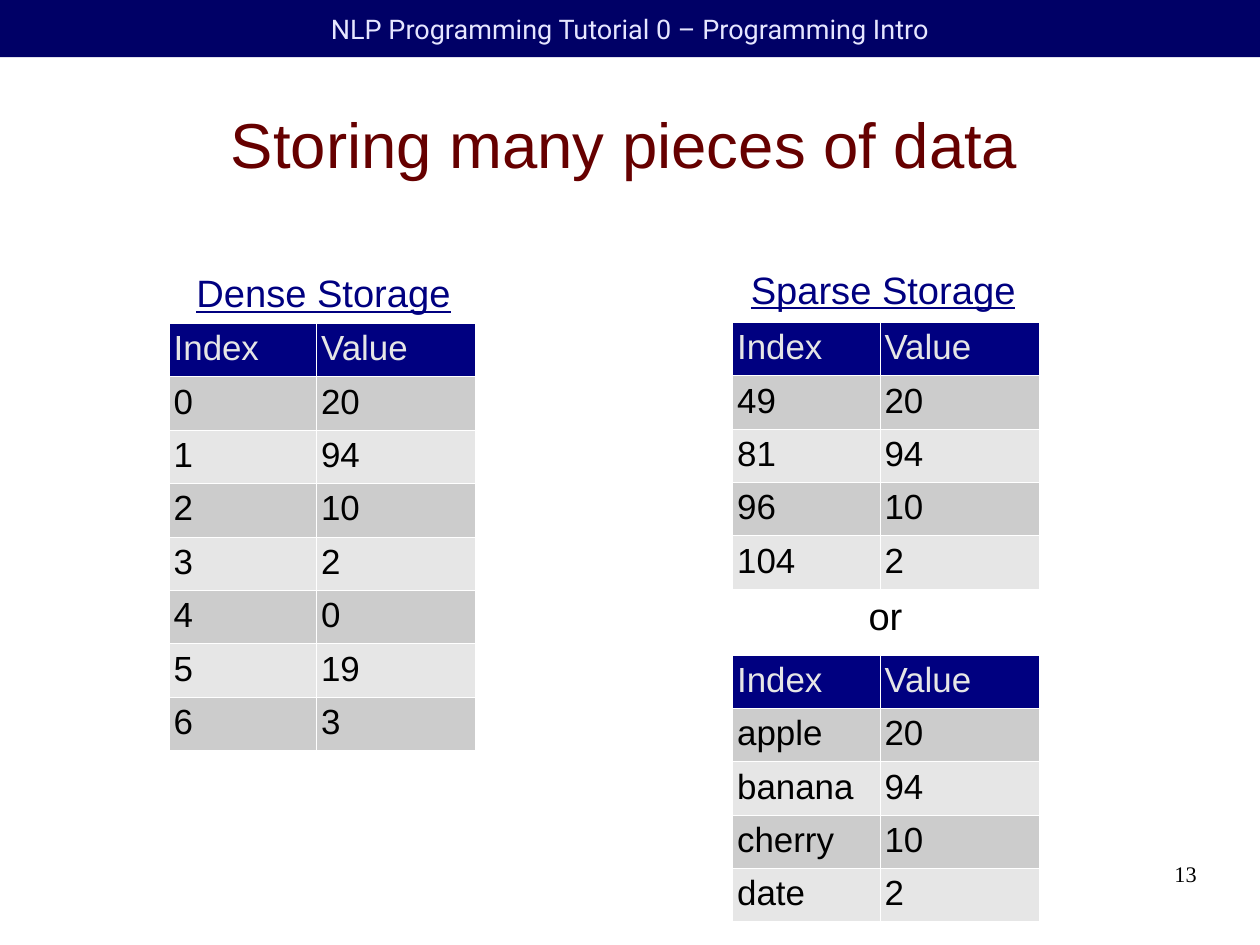
from lxml import etree
from pptx import Presentation
from pptx.dml.color import RGBColor
from pptx.enum.shapes import MSO_SHAPE
from pptx.enum.text import MSO_ANCHOR, MSO_AUTO_SIZE, PP_ALIGN
from pptx.oxml.ns import qn
from pptx.util import Cm, Inches, Pt

LEFT, CENTER, RIGHT = PP_ALIGN.LEFT, PP_ALIGN.CENTER, PP_ALIGN.RIGHT
TOP, MIDDLE = MSO_ANCHOR.TOP, MSO_ANCHOR.MIDDLE
GROW = MSO_AUTO_SIZE.SHAPE_TO_FIT_TEXT
RECT = MSO_SHAPE.RECTANGLE

BAR = RGBColor(0x00, 0x00, 0x66)
BAR_TEXT = RGBColor(0xE6, 0xE6, 0xFF)
MAROON = RGBColor(0x66, 0x00, 0x00)
NAVY = RGBColor(0x00, 0x00, 0x80)
BLACK = RGBColor(0x00, 0x00, 0x00)
DARK_BAND = RGBColor(0xCC, 0xCC, 0xCC)
LIGHT_BAND = RGBColor(0xE6, 0xE6, 0xE6)

COL_WIDTHS = (1.29, 1.39)
ROW_H = Pt(33.58)
DENSE_X, SPARSE_X = 1.48, 6.41

prs = Presentation()
prs.slide_width = Cm(28)
prs.slide_height = Cm(21)
slide = prs.slides.add_slide(prs.slide_layouts[6])


def add_run(p, text, size, color, font="Arial", underline=None):
    r = p.add_run()
    r.text = text
    r.font.size, r.font.name, r.font.underline = Pt(size), font, underline
    r.font.color.rgb = color


def add_table(x, y, rows):
    width = Inches(sum(COL_WIDTHS))
    frame = slide.shapes.add_table(len(rows), len(COL_WIDTHS), Inches(x),
                                   Inches(y), width, ROW_H * len(rows))
    table = frame.table
    for column, col_w in zip(table.columns, COL_WIDTHS):
        column.width = Inches(col_w)
    for i, values in enumerate(rows):
        table.rows[i].height = ROW_H
        for j, value in enumerate(values):
            cell = table.cell(i, j)
            cell.margin_left = cell.margin_right = Inches(0.04)
            cell.margin_top = cell.margin_bottom = Inches(0.05)
            # Thin white borders come before the fill in the cell properties
            tc_pr = cell._tc.get_or_add_tcPr()
            for side in ("a:lnL", "a:lnR", "a:lnT", "a:lnB"):
                ln = etree.SubElement(tc_pr, qn(side), w=str(Pt(0.57)))
                solid = etree.SubElement(ln, qn("a:solidFill"))
                etree.SubElement(solid, qn("a:srgbClr"), val="FFFFFF")
            cell.fill.solid()
            band = DARK_BAND if i % 2 else LIGHT_BAND
            cell.fill.fore_color.rgb = band if i else NAVY
            add_run(cell.text_frame.paragraphs[0], value, 22,
                    BLACK if i else LIGHT_BAND)


# Header bar
sp = slide.shapes.add_shape(RECT, 0, 0, prs.slide_width, Inches(0.5))
sp.shadow.inherit = False
sp.fill.solid()
sp.fill.fore_color.rgb = BAR
sp.line.fill.background()
tf = sp.text_frame
tf.vertical_anchor = MIDDLE
p = tf.paragraphs[0]
p.alignment = CENTER
add_run(p, "NLP Programming Tutorial 0 – Programming Intro", 17, BAR_TEXT,
        "Roboto")

# Title, table headings, joining word and page number
texts = [
    ("Storing many pieces of data", (0.5, 0.62, 9.92, 1.27), 40, MAROON,
     "Arial", CENTER, MIDDLE, None, 0),
    ("Dense Storage", (1.62, 2.31, 2.5, 0.47), 24, NAVY,
     "Arial", LEFT, TOP, True, 0.1),
    ("Sparse Storage", (6.47, 2.28, 2.75, 0.47), 24, NAVY,
     "Arial", LEFT, TOP, True, 0.1),
    ("or", (7.5, 5.13, 0.52, 0.47), 24, BLACK,
     "Arial", LEFT, TOP, None, 0.1),
    ("13", (7.9, 7.53, 2.57, 0.57), 14, BLACK,
     "Times New Roman", RIGHT, TOP, None, 0),
]
for text, box, size, color, font, align, anchor, underline, inset in texts:
    sp = slide.shapes.add_textbox(*map(Inches, box))
    tf = sp.text_frame
    tf.word_wrap = text != "or"
    if text == "or":
        tf.auto_size = GROW
    tf.vertical_anchor = anchor
    tf.margin_left = tf.margin_right = Inches(inset)
    tf.margin_top = tf.margin_bottom = Inches(inset / 2)
    p = tf.paragraphs[0]
    p.alignment = align
    add_run(p, text, size, color, font, underline)

# Dense table, then the two sparse tables
head = ("Index", "Value")
dense_values = ("20", "94", "10", "2", "0", "19", "3")
sparse_values = dense_values[:4]
add_table(DENSE_X, 2.83,
          [head] + [(str(i), v) for i, v in enumerate(dense_values)])
for y, keys in ((2.82, ("49", "81", "96", "104")),
                (5.73, ("apple", "banana", "cherry", "date"))):
    add_table(SPARSE_X, y, [head, *zip(keys, sparse_values)])

prs.save("out.pptx")
